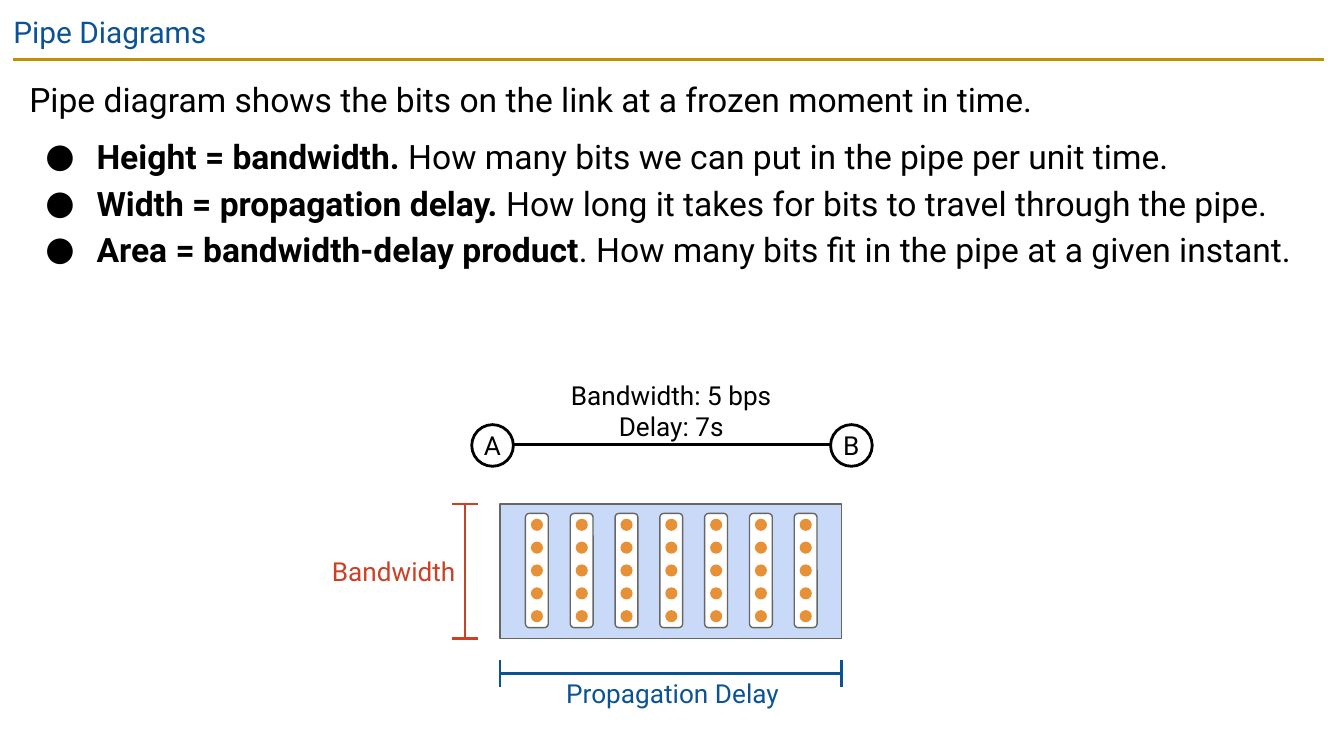
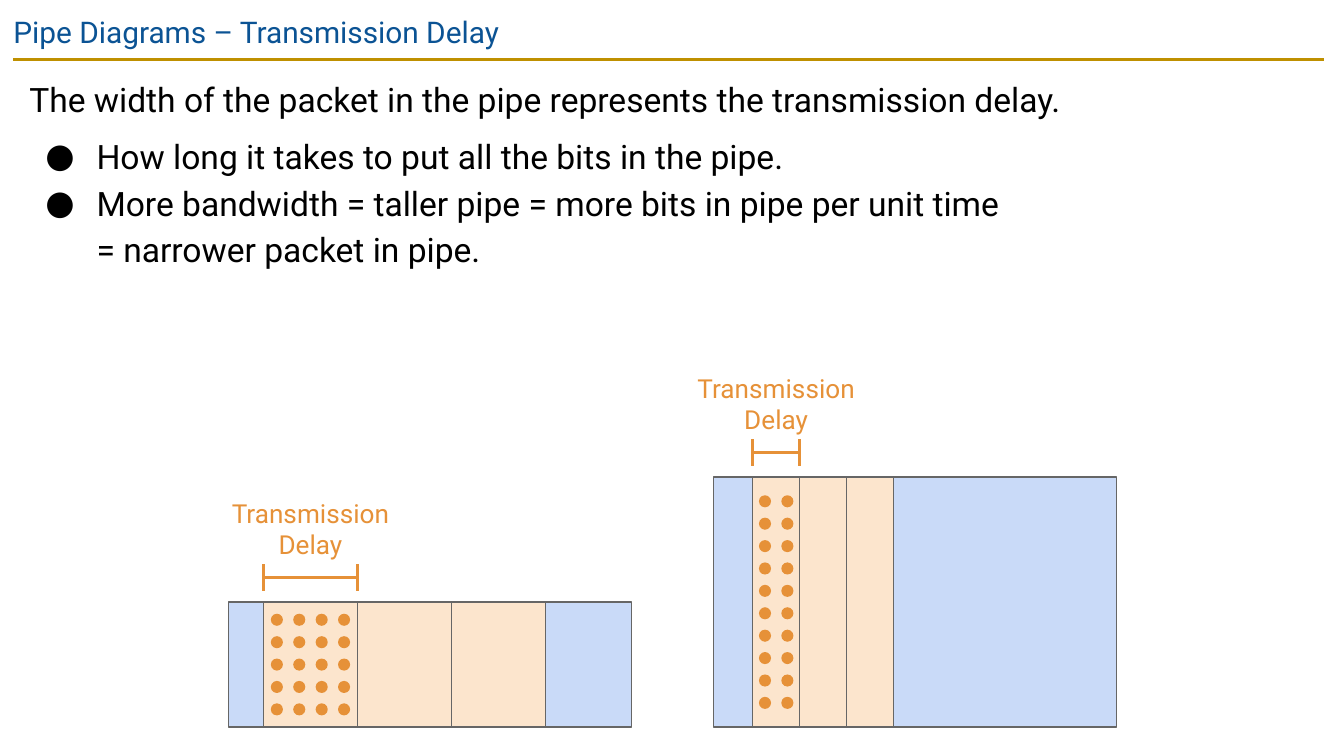
from dataclasses import dataclass

from lxml import etree
from pptx import Presentation
from pptx.dml.color import RGBColor
from pptx.enum.shapes import MSO_CONNECTOR, MSO_SHAPE
from pptx.enum.text import MSO_ANCHOR, MSO_AUTO_SIZE, PP_ALIGN
from pptx.oxml.ns import qn
from pptx.util import Inches, Pt

STRAIGHT = MSO_CONNECTOR.STRAIGHT
RECTANGLE = MSO_SHAPE.RECTANGLE
ROUNDED = MSO_SHAPE.ROUNDED_RECTANGLE
OVAL = MSO_SHAPE.OVAL
TOP, MIDDLE = MSO_ANCHOR.TOP, MSO_ANCHOR.MIDDLE
LEFT, CENTER, RIGHT = PP_ALIGN.LEFT, PP_ALIGN.CENTER, PP_ALIGN.RIGHT
NO_AUTOFIT = MSO_AUTO_SIZE.NONE
TITLE_ONLY = 5


@dataclass(frozen=True)
class Theme:
    """Colours, type sizes and line widths shared by the slides."""

    font: str = "Roboto"
    title_size: int = 16
    body_size: int = 18
    label_size: int = 14
    thin: float = 0.75
    thick: float = 1.5
    text: str = "000000"
    blue: str = "0B5394"
    gold: str = "BF9000"
    red: str = "CC4125"
    orange: str = "E69138"
    outline: str = "666666"
    pipe: str = "C9DAF8"
    packet: str = "FCE5CD"
    white: str = "FFFFFF"


THEME = Theme()
SLIDE_WIDTH = 10
SLIDE_HEIGHT = SLIDE_WIDTH * 9 / 16
DOT = 0.09
TICK = 0.1
LABEL_INSET = 0.03
BODY_INSET = 0.1


def rgb(colour):
    """Turn a hex string into a colour."""
    return RGBColor.from_string(colour)


def style_font(paragraph, size, colour):
    """Set the typeface, size and colour of a whole paragraph."""
    paragraph.font.name = THEME.font
    paragraph.font.size = Pt(size)
    paragraph.font.color.rgb = rgb(colour)


def prepare_frame(frame, inset, anchor=TOP):
    """Give a text frame wrapping, equal insets and an anchor."""
    frame.word_wrap = True
    frame.auto_size = NO_AUTOFIT
    frame.vertical_anchor = anchor
    frame.margin_left = frame.margin_right = Inches(inset)
    frame.margin_top = frame.margin_bottom = Inches(inset)


def add_line(shapes, start, end, colour):
    """Draw a straight line between two points."""
    line = shapes.add_connector(STRAIGHT, *map(Inches, (*start, *end)))
    line.line.color.rgb = rgb(colour)
    line.line.width = Pt(THEME.thick)
    properties = line._element.find(qn("p:spPr"))
    etree.SubElement(properties, qn("a:effectLst"))


def add_figure(shapes, kind, box, fill, outline=None, width=THEME.thin):
    """Draw a filled preset shape with an optional outline."""
    shape = shapes.add_shape(kind, *map(Inches, box))
    shape.shadow.inherit = False
    shape.fill.solid()
    shape.fill.fore_color.rgb = rgb(fill)
    if outline:
        shape.line.color.rgb = rgb(outline)
        shape.line.width = Pt(width)
    else:
        shape.line.fill.background()
    return shape


def add_label(slide, lines, box, colour, alignment=CENTER):
    """Add a diagram label, one paragraph per line."""
    frame = slide.shapes.add_textbox(*map(Inches, box)).text_frame
    prepare_frame(frame, LABEL_INSET)
    frame.text = "\n".join(lines)
    for paragraph in frame.paragraphs:
        paragraph.alignment = alignment
        style_font(paragraph, THEME.label_size, colour)


def add_node(slide, name, left, top, size):
    """Draw a named network node."""
    node = add_figure(slide.shapes, OVAL, (left, top, size, size),
                      THEME.white, THEME.text, THEME.thick)
    prepare_frame(node.text_frame, 0, MIDDLE)
    paragraph = node.text_frame.paragraphs[0]
    paragraph.text = name
    paragraph.alignment = CENTER
    style_font(paragraph, THEME.label_size, THEME.text)


def add_bracket(slide, start, end, colour):
    """Draw a measuring line with a tick across each end."""
    shapes = slide.shapes.add_group_shape().shapes
    across, down = (0, TICK) if start[1] == end[1] else (TICK, 0)
    for x, y in (start, end):
        add_line(shapes, (x - across, y - down), (x + across, y + down), colour)
    add_line(shapes, start, end, colour)


def add_bits(shapes, box, columns, rows, pitch):
    """Draw a grid of bits centred in a box."""
    left, top, width, height = box
    first_x = left + (width - (columns - 1) * pitch - DOT) / 2
    first_y = top + (height - (rows - 1) * pitch - DOT) / 2
    for column in range(columns):
        for row in range(rows):
            spot = (first_x + column * pitch, first_y + row * pitch, DOT, DOT)
            add_figure(shapes, OVAL, spot, THEME.orange)


def add_bit_column(slide, box, rows):
    """Draw a rounded capsule holding the bits sent in one second."""
    shapes = slide.shapes.add_group_shape().shapes
    add_figure(shapes, ROUNDED, box, THEME.white, THEME.outline)
    add_bits(shapes, box, 1, rows, 0.17)


def add_packet_pipe(slide, pipe, packet_left, packet_width, columns, rows):
    """Draw a pipe with three packets and the first one's transmission delay."""
    top, height = pipe[1], pipe[3]
    add_figure(slide.shapes, RECTANGLE, pipe, THEME.pipe, THEME.outline)
    for index in range(3):
        box = (packet_left + index * packet_width, top, packet_width, height)
        add_figure(slide.shapes, RECTANGLE, box, THEME.packet, THEME.outline)
    bits = slide.shapes.add_group_shape().shapes
    add_bits(bits, (packet_left, top, packet_width, height), columns, rows, 1 / 6)
    level = top - 0.18
    add_bracket(slide, (packet_left, level),
                (packet_left + packet_width, level), THEME.orange)
    label_width = 1.29
    label_left = packet_left + (packet_width - label_width) / 2
    add_label(slide, ["Transmission Delay"],
              (label_left, top - 0.81, label_width, 0.53), THEME.orange)


def make_bullet(paragraph):
    """Add a round bullet with a hanging indent."""
    properties = paragraph._p.get_or_add_pPr()
    properties.set("marL", str(Inches(0.5)))
    properties.set("indent", str(Inches(-0.38)))
    colour = etree.SubElement(properties, qn("a:buClr"))
    etree.SubElement(colour, qn("a:srgbClr"), val=THEME.text)
    etree.SubElement(properties, qn("a:buFont"), typeface=THEME.font)
    etree.SubElement(properties, qn("a:buChar"), char="●")


def add_body(slide, intro, bullets, height):
    """Add the introduction and its bullets, each a bold lead and a detail."""
    box = map(Inches, (0.12, 0.44, 9.74, height))
    frame = slide.shapes.add_textbox(*box).text_frame
    prepare_frame(frame, BODY_INSET)
    frame.text = intro
    for index, (lead, detail) in enumerate(bullets):
        paragraph = frame.add_paragraph()
        make_bullet(paragraph)
        paragraph.space_before = Pt(0 if index else 6)
        if lead:
            run = paragraph.add_run()
            run.text = lead
            run.font.bold = True
        for number, line in enumerate(detail.split("\n")):
            if number:
                paragraph.add_line_break()
            paragraph.add_run().text = line
    for paragraph in frame.paragraphs:
        paragraph.line_spacing = 1.15
        style_font(paragraph, THEME.body_size, THEME.text)


def add_titled_slide(presentation, text):
    """Add a slide with the shared title style and gold rule."""
    slide = presentation.slides.add_slide(presentation.slide_layouts[TITLE_ONLY])
    add_line(slide.shapes, (0.1, 0.44), (9.85, 0.44), THEME.gold)
    title = slide.shapes.title
    box = (0, 0, SLIDE_WIDTH, 0.43)
    title.left, title.top, title.width, title.height = map(Inches, box)
    prepare_frame(title.text_frame, BODY_INSET)
    paragraph = title.text_frame.paragraphs[0]
    paragraph.text = text
    paragraph.alignment = LEFT
    style_font(paragraph, THEME.title_size, THEME.blue)
    return slide


def build_pipe_slide(presentation):
    """Explain the height, width and area of a pipe."""
    slide = add_titled_slide(presentation, "Pipe Diagrams")
    add_body(slide, "Pipe diagram shows the bits on the link at a frozen moment in time.", [
        ("Height = bandwidth.", " How many bits we can put in the pipe per unit time."),
        ("Width = propagation delay.",
         " How long it takes for bits to travel through the pipe."),
        ("Area = bandwidth-delay product",
         ". How many bits fit in the pipe at a given instant."),
    ], 2.2)

    left, top, width, height = pipe = (3.72, 3.75, 2.54, 1)
    right, bottom = left + width, top + height
    add_figure(slide.shapes, RECTANGLE, pipe, THEME.pipe, THEME.outline)
    add_node(slide, "B", 6.18, 3.16, 0.31)
    add_node(slide, "A", 3.51, 3.16, 0.31)
    add_line(slide.shapes, (3.82, 3.31), (6.18, 3.31), THEME.text)
    add_label(slide, ["Bandwidth: 5 bps", "Delay: 7s"],
              (3.66, 2.79, 2.67, 0.53), THEME.text)
    for second in range(7):
        add_bit_column(slide, (3.91 + second / 3, 3.82, 0.17, 0.85), 5)

    add_bracket(slide, (3.46, top), (3.46, bottom), THEME.red)
    add_label(slide, ["Bandwidth"], (2.42, 4.1, 1, 0.3), THEME.red, RIGHT)
    add_bracket(slide, (left, 5.01), (right, 5.01), THEME.blue)
    add_label(slide, ["Propagation Delay"], (4.12, 5.01, 1.77, 0.3), THEME.blue)


def build_transmission_slide(presentation):
    """Compare packet widths in a short pipe and a tall pipe."""
    slide = add_titled_slide(presentation, "Pipe Diagrams – Transmission Delay")
    add_body(slide, "The width of the packet in the pipe represents the transmission delay.", [
        ("", "How long it takes to put all the bits in the pipe."),
        ("", "More bandwidth = taller pipe = more bits in pipe per unit time\n"
             "= narrower packet in pipe."),
    ], 2.09)
    add_packet_pipe(slide, (1.7, 4.48, 3, 0.93), 1.96, 0.7, 4, 5)
    add_packet_pipe(slide, (5.31, 3.55, 3, 1.86), 5.6, 0.35, 2, 10)


def main():
    """Build and save the presentation."""
    presentation = Presentation()
    presentation.slide_width = Inches(SLIDE_WIDTH)
    presentation.slide_height = Inches(SLIDE_HEIGHT)
    build_pipe_slide(presentation)
    build_transmission_slide(presentation)
    presentation.save("out.pptx")


if __name__ == "__main__":
    main()
